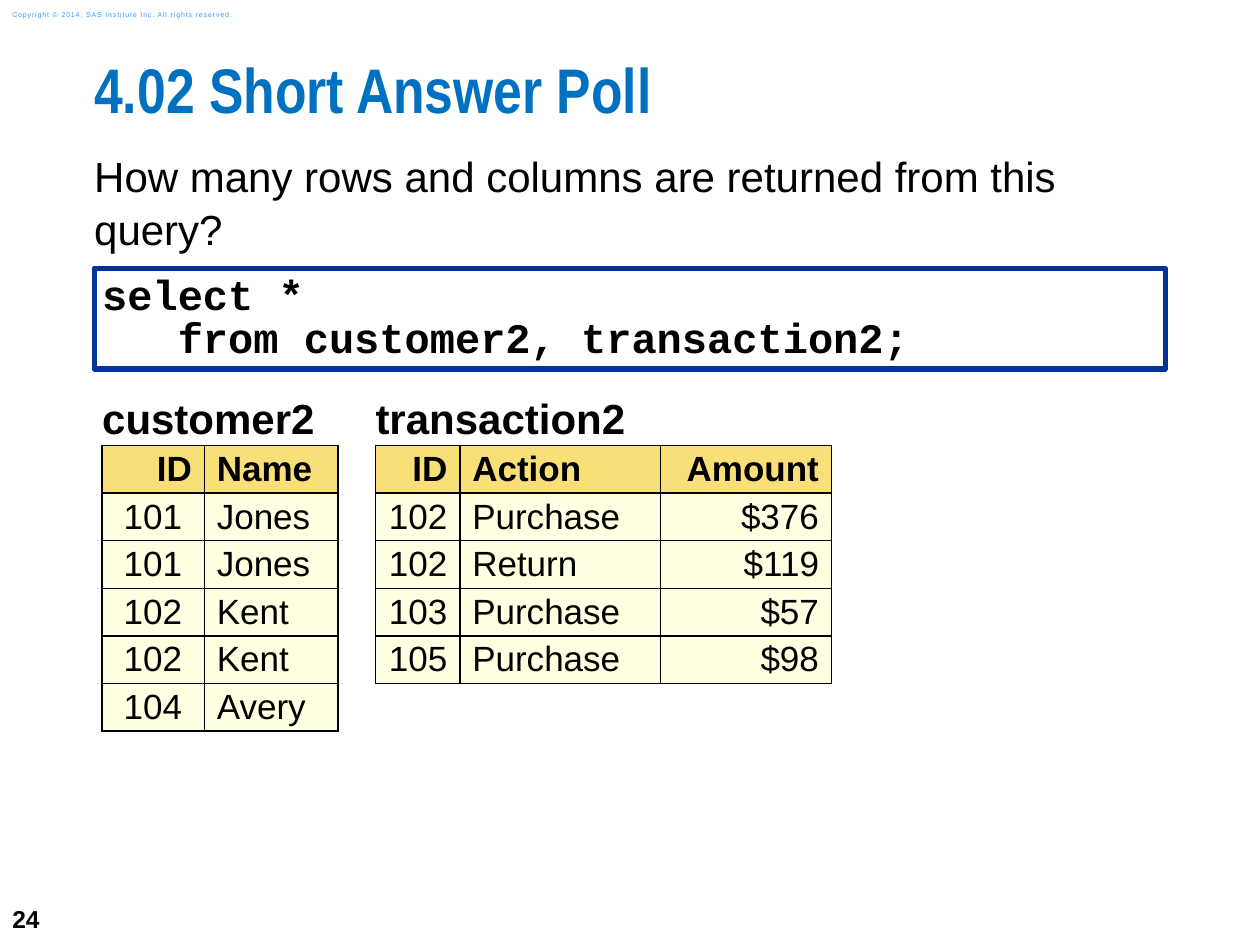
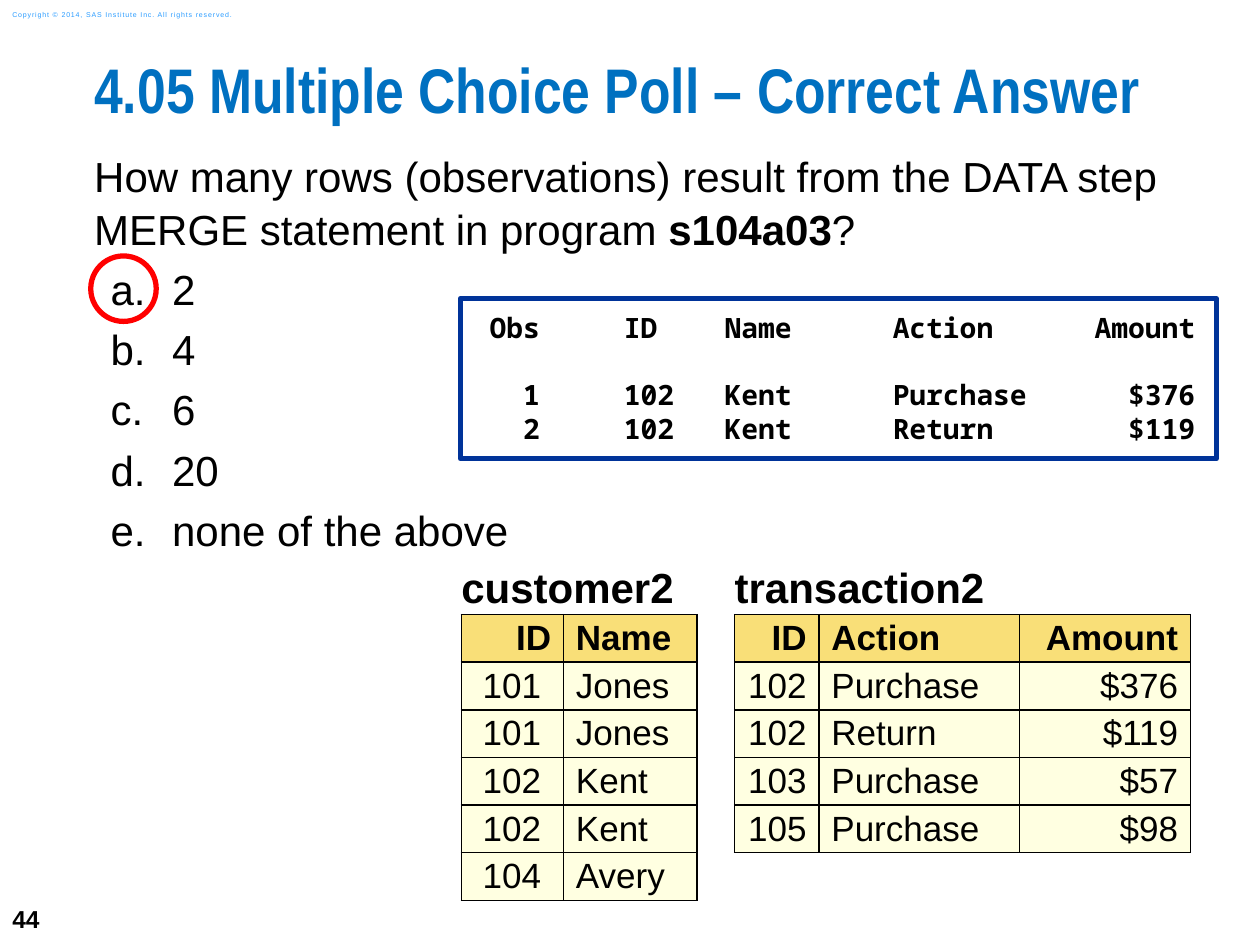
from dataclasses import dataclass

from lxml.etree import SubElement
from pptx import Presentation
from pptx.dml.color import RGBColor
from pptx.enum.shapes import MSO_SHAPE as SHAPE
from pptx.enum.text import MSO_ANCHOR as ANCHOR, PP_ALIGN as ALIGN
from pptx.oxml.ns import qn
from pptx.util import Cm, Pt

COPYRIGHT = "Copyright © 2014, SAS Institute Inc. All rights reserved."

# Text between ** marks is bold.
ROWS_POLL = {
    "number": 24,
    "title": "4.02 Short Answer Poll",
    "question": "How many rows and columns are returned from this query?",
    "query": "select *\n   from customer2, transaction2;",
}
MERGE_POLL = {
    "number": 44,
    "title": "4.05 Multiple Choice Poll – Correct Answer",
    "question": "How many rows (observations) result from the DATA step MERGE "
                "statement in program **s104a03**?",
    "answers": ["2", "4", "6", "20", "none of the above"],
    "report": [
        ("Obs", "ID", "Name", "Action", "Amount"),
        ("1", "102", "Kent", "Purchase", "$376"),
        ("2", "102", "Kent", "Return", "$119"),
    ],
}
# Report columns: alignment and position, counted in characters
REPORT_STOPS = [("r", 4), ("l", 9), ("l", 15), ("l", 25), ("r", 43)]
REPORT_CHAR = 0.3387  # width of one report character in cm

TABLES = [
    {
        "caption": "customer2",
        "widths": [2.06, 2.69],
        "right_aligned": {0},
        "id_margin": 0.45,
        "rows": [("ID", "Name"), ("101", "Jones"), ("101", "Jones"),
                 ("102", "Kent"), ("102", "Kent"), ("104", "Avery")],
    },
    {
        "caption": "transaction2",
        "widths": [1.7, 4.04, 3.45],
        "right_aligned": {0, 2},
        "id_margin": 0.25,
        "rows": [("ID", "Action", "Amount"), ("102", "Purchase", "$376"),
                 ("102", "Return", "$119"), ("103", "Purchase", "$57"),
                 ("105", "Purchase", "$98")],
    },
]
TABLE_GAP = 0.76
CAPTION_HEIGHT, ROW_HEIGHT = 1.02, 0.96


@dataclass(frozen=True)
class Theme:
    ink: str = "000000"
    paper: str = "FFFFFF"
    title: str = "0070C0"
    copyright: str = "2A9CFF"
    frame: str = "003399"
    mark: str = "FF0000"
    header: str = "F9DF78"
    cell: str = "FFFFE1"
    body_font: str = "Arial"
    title_font: str = "Arial Narrow"
    code_font: str = "Courier New"
    report_font: str = "Noto Sans Mono"
    title_size: int = 36
    body_size: int = 24
    cell_size: int = 20
    report_size: int = 16
    number_size: int = 14
    copyright_size: int = 4


T = Theme()


def rgb(color):
    return RGBColor.from_string(color)


def write(tf, paragraphs, *, size=T.body_size, font=T.body_font, color=T.ink,
          bold=False, align=ALIGN.LEFT, spacing=None, after=0, tracking=None):
    """Fill a text frame and return its paragraphs."""
    for i, text in enumerate(paragraphs):
        p = tf.add_paragraph() if i else tf.paragraphs[0]
        p.alignment, p.space_after = align, Pt(after)
        if spacing:
            p.line_spacing = spacing
        for j, part in enumerate(text.split("**")):
            for k, line in enumerate(part.split("\n")):
                if k:
                    p.add_line_break()
                r = p.add_run()
                r.text = line
                r.font.name, r.font.size = font, Pt(size)
                r.font.bold = bold or j % 2 == 1
                r.font.color.rgb = rgb(color)
                if tracking:
                    r._r.get_or_add_rPr().set("spc", str(int(tracking * 100)))
    return tf.paragraphs


def frame_up(sp, inset_x, inset_y, anchor=ANCHOR.TOP):
    tf = sp.text_frame
    tf.word_wrap, tf.vertical_anchor = True, anchor
    tf.margin_left = tf.margin_right = Cm(inset_x)
    tf.margin_top = tf.margin_bottom = Cm(inset_y)
    return tf


def text_box(s, box, paragraphs, insets=(0, 0), anchor=ANCHOR.TOP, **fmt):
    sp = s.shapes.add_textbox(*map(Cm, box))
    return write(frame_up(sp, *insets, anchor), paragraphs, **fmt)


def outlined(s, shape, box, line, fill=None):
    sp = s.shapes.add_shape(shape, *map(Cm, box))
    sp.shadow.inherit = False
    sp.line.color.rgb, sp.line.width = rgb(line), Pt(3)
    if fill:
        sp.fill.solid()
        sp.fill.fore_color.rgb = rgb(fill)
    else:
        sp.fill.background()
    return sp


def set_borders(cell, left, right, top, bottom):
    tc_pr = cell._tc.get_or_add_tcPr()
    sides = zip(("lnL", "lnR", "lnT", "lnB"), (left, right, top, bottom))
    for i, (tag, color) in enumerate(sides):
        ln = SubElement(tc_pr, qn(f"a:{tag}"), w=str(Pt(1)))
        fill = SubElement(ln, qn("a:solidFill"))
        SubElement(fill, qn("a:srgbClr"), val=color)
        tc_pr.insert(i, ln)


def style_cell(cell, fill, borders, margins):
    cell.fill.solid()
    cell.fill.fore_color.rgb = rgb(fill)
    cell.vertical_anchor = ANCHOR.MIDDLE
    cell.margin_left, cell.margin_right = map(Cm, margins)
    cell.margin_top = cell.margin_bottom = 0
    set_borders(cell, *borders)


def data_table(s, data, left, top):
    rows, widths = data["rows"], data["widths"]
    heights = [CAPTION_HEIGHT] + [ROW_HEIGHT] * len(rows)
    table = s.shapes.add_table(len(heights), len(widths), Cm(left), Cm(top),
                               Cm(sum(widths)), Cm(sum(heights))).table
    for col, width in zip(table.columns, widths):
        col.width = Cm(width)
    for row, height in zip(table.rows, heights):
        row.height = Cm(height)

    for c in range(len(widths)):
        style_cell(table.cell(0, c), T.paper, [T.paper] * 3 + [T.ink], (0, 0))
    table.cell(0, 0).merge(table.cell(0, len(widths) - 1))
    write(table.cell(0, 0).text_frame, [data["caption"]], bold=True)

    for r, values in enumerate(rows, 1):
        is_header = r == 1
        for c, value in enumerate(values):
            right = data["id_margin"] if c == 0 and not is_header else 0.25
            cell = table.cell(r, c)
            style_cell(cell, T.header if is_header else T.cell,
                       [T.ink] * 4, (0.25, right))
            write(cell.text_frame, [value], size=T.cell_size, bold=is_header,
                  align=ALIGN.RIGHT if c in data["right_aligned"] else ALIGN.LEFT)


def table_pair(s, left, top):
    for data in TABLES:
        data_table(s, data, left, top)
        left += sum(data["widths"]) + TABLE_GAP


def poll_slide(prs, poll):
    """Add a slide with the parts that every poll has."""
    s = prs.slides.add_slide(prs.slide_layouts[6])
    text_box(s, (0, 17.98, 1.47, 1.07), [str(poll["number"])], (0.25, 0.13),
             ANCHOR.MIDDLE, size=T.number_size, bold=True)
    text_box(s, (0, 0.08, 5.36, 0.43), [COPYRIGHT], (0.25, 0.13), ANCHOR.MIDDLE,
             size=T.copyright_size, color=T.copyright, tracking=0.5)
    text_box(s, (1.9, 1.27, 23.5, 1.88), [poll["title"]], size=T.title_size,
             font=T.title_font, color=T.title, bold=True, spacing=0.83)
    answers = poll.get("answers", [])
    body = text_box(s, (1.9, 3, 21.8, 11.84), [poll["question"], *answers],
                    spacing=1.04, after=4.5)
    for p in body[1:]:
        p_pr = p._p.get_or_add_pPr()
        p_pr.set("marL", str(Cm(1.57)))
        p_pr.set("indent", str(Cm(-1.24)))
        SubElement(p_pr, qn("a:buFont"), typeface=T.body_font)
        SubElement(p_pr, qn("a:buAutoNum"), type="alphaLcPeriod")
    return s


def query_box(s, query):
    sp = outlined(s, SHAPE.RECTANGLE, (1.9, 5.41, 21.59, 2.03), T.frame, T.paper)
    write(frame_up(sp, 0.16, 0.16), [query], font=T.code_font, bold=True,
          spacing=0.85)


def report_box(s, report):
    sp = outlined(s, SHAPE.RECTANGLE, (9.28, 6.02, 15.24, 3.23), T.frame, T.paper)
    lines = ["\t" + "\t".join(row) for row in report]
    paragraphs = write(frame_up(sp, 0.25, 0.25), lines, size=T.report_size,
                       font=T.report_font, bold=True)
    paragraphs[0].space_after = Pt(19)
    for p in paragraphs:
        tabs = SubElement(p._p.get_or_add_pPr(), qn("a:tabLst"))
        for align, chars in REPORT_STOPS:
            SubElement(tabs, qn("a:tab"), pos=str(Cm(chars * REPORT_CHAR)),
                       algn=align)


def main():
    prs = Presentation()
    prs.slide_width, prs.slide_height = Cm(25.4), Cm(19.05)

    s = poll_slide(prs, ROWS_POLL)
    query_box(s, ROWS_POLL["query"])
    table_pair(s, 2.06, 7.96)

    s = poll_slide(prs, MERGE_POLL)
    outlined(s, SHAPE.OVAL, (1.83, 5.16, 1.32, 1.32), T.mark)
    report_box(s, MERGE_POLL["report"])
    table_pair(s, 9.3, 11.37)

    prs.save("out.pptx")


if __name__ == "__main__":
    main()
